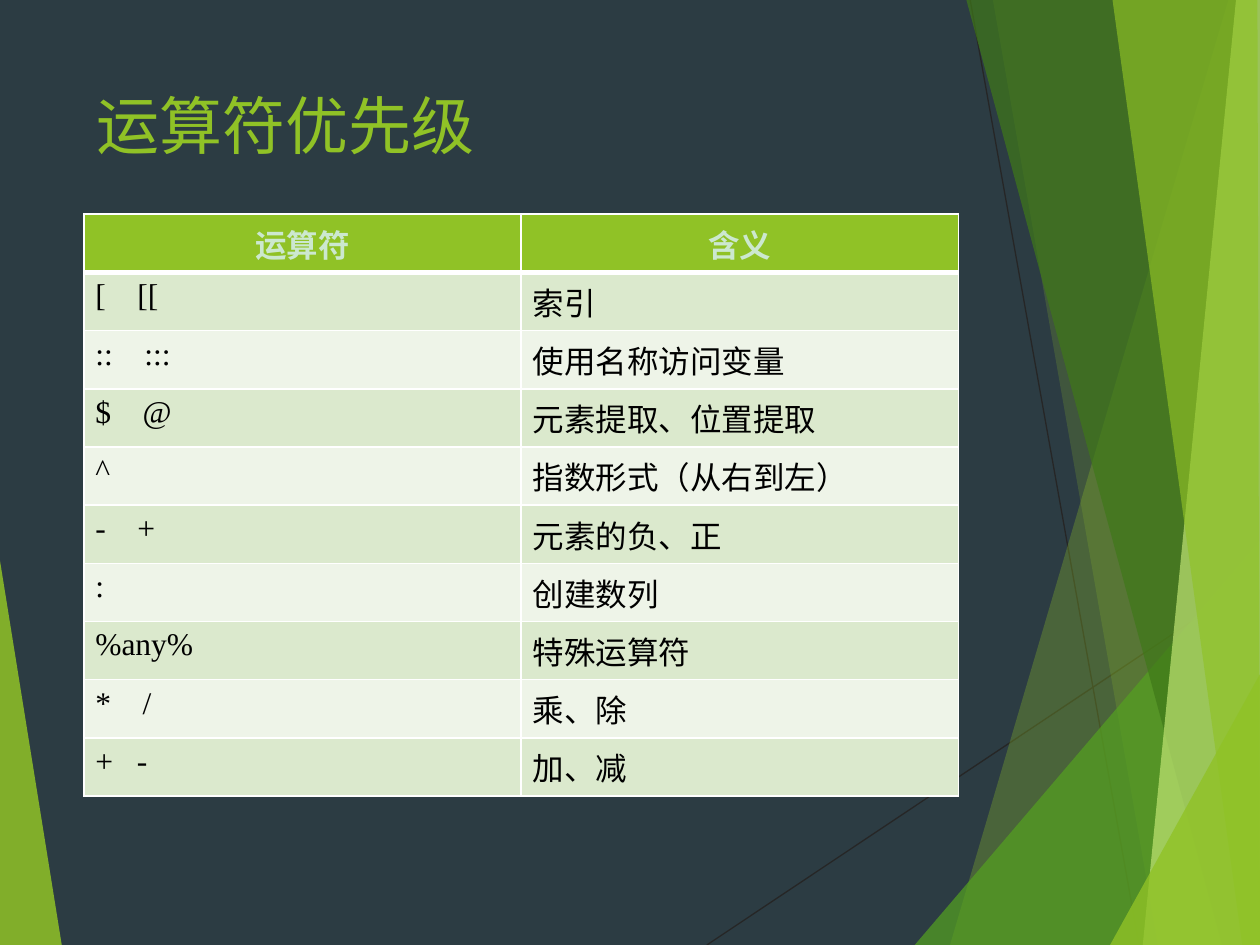
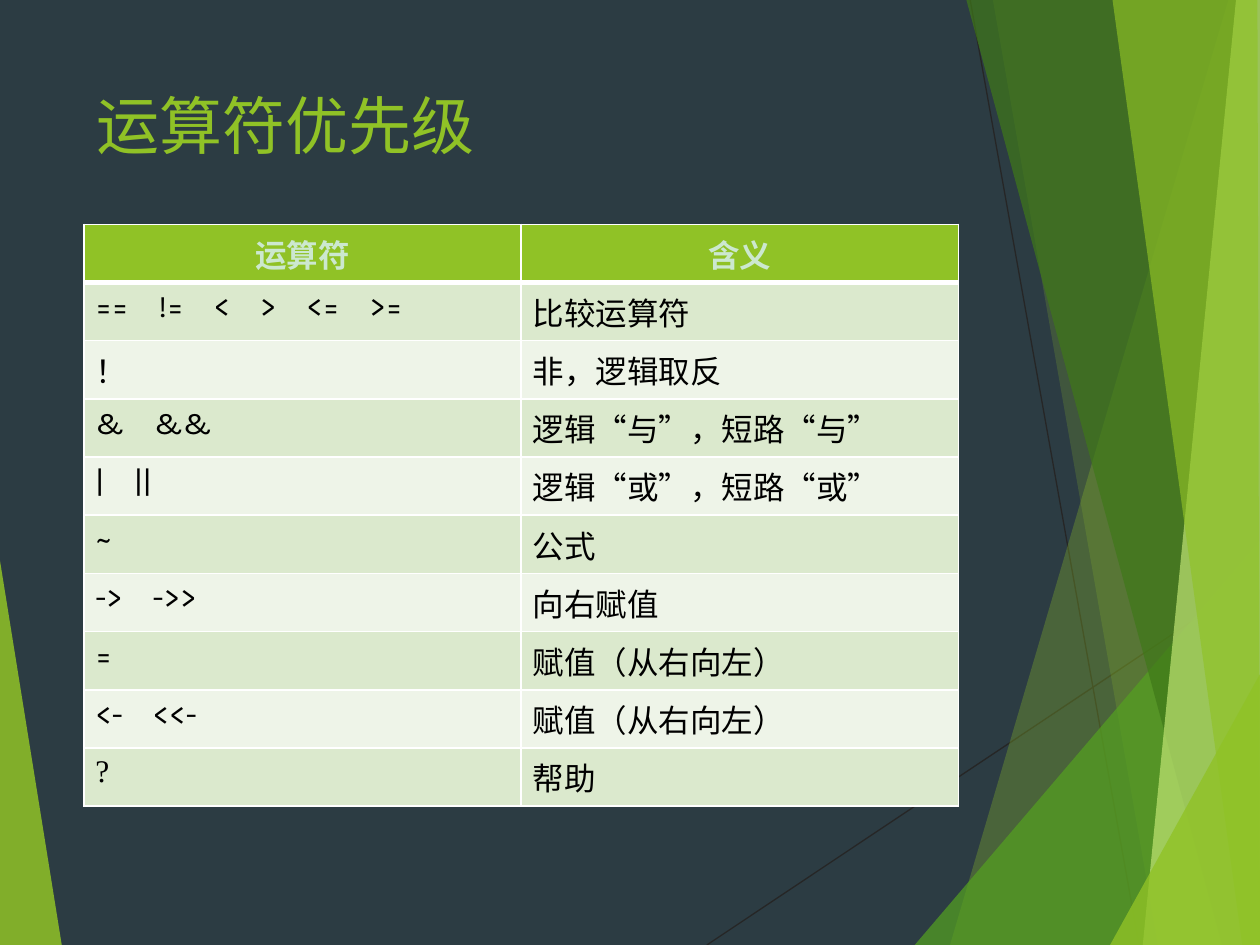
import lxml.etree
import pptx
import pptx.dml.color
import pptx.enum.shapes
import pptx.enum.text
import pptx.oxml.ns
import pptx.util

COLUMNS, ROWS = 100, 75
CELL = pptx.util.Inches(0.1)

BACKGROUND, LIME, PALE = "2C3C43", "90C226", "CCE8CF"
BLACK, WHITE = "000000", "FFFFFF"
BANDS = ("DBE9CD", "EEF4E8")
SANS, SERIF = "Karla", "Times New Roman"
LEFT, WIDTH = 6.67, 69.4
TABLE_ROW = 4.62
OPERATOR_GAPS = {SERIF: 13.5, SANS: 12.8}
NARROW_GAPS = {"+ -": 9}

RAYS = [((56.1, ROWS), (COLUMNS, 45.7)), ((77, 0), (90.4, ROWS))]
FACETS = [
    (LIME, 85, [(0, 44.5), (4.9, ROWS), (0, ROWS)]),
    (LIME, 30, [(97.5, 0), (75.4, ROWS), (COLUMNS, ROWS), (COLUMNS, 0)]),
    (LIME, 20, [(78.8, 0), (91.9, ROWS), (COLUMNS, ROWS), (COLUMNS, 0)]),
    ("54A021", 72, [(72.6, ROWS), (COLUMNS, 42.9), (COLUMNS, ROWS)]),
    ("3F7819", 70, [(76.7, 0), (97, ROWS), (COLUMNS, ROWS), (COLUMNS, 0)]),
    ("C0E474", 70, [(98.1, 0), (90.7, ROWS), (COLUMNS, ROWS), (COLUMNS, 0)]),
    (LIME, 65, [(88.3, 0), (98.6, ROWS), (COLUMNS, ROWS), (99.8, 0)]),
    (LIME, 80, [(88.1, ROWS), (COLUMNS, 53.5), (COLUMNS, ROWS)]),
]

TITLE = "运算符优先级"
HEADER = ("运算符", "含义")
ARITHMETIC = [
    ("[ [[", "索引"),
    (":: :::", "使用名称访问变量"),
    ("$ @", "元素提取、位置提取"),
    ("^", "指数形式（从右到左）"),
    ("- +", "元素的负、正"),
    (":", "创建数列"),
    ("%any%", "特殊运算符"),
    ("* /", "乘、除"),
    ("+ -", "加、减"),
]
LOGIC = [
    ("== != < > <= >=", "比较运算符"),
    ("！", "非，逻辑取反"),
    ("& &&", "逻辑“与”，短路“与”"),
    ("| ||", "逻辑“或”，短路“或”"),
    ("~", "公式"),
    ("-> ->>", "向右赋值"),
    ("=", "赋值（从右向左）"),
    ("<- <<-", "赋值（从右向左）"),
    ("?", "帮助"),
]


def grid(*counts):
    """Turn counts of grid cells into lengths."""
    return [round(count * CELL) for count in counts]


def color(value):
    """Turn a hex string into a colour."""
    return pptx.dml.color.RGBColor.from_string(value)


def paint(fill, value):
    """Give a fill one solid colour."""
    fill.solid()
    fill.fore_color.rgb = color(value)


def assign(target, formats):
    """Set each named attribute of a target."""
    for name, value in formats.items():
        setattr(target, name, value)


def add_child(parent, tag, **attributes):
    """Append a drawing element to a parent."""
    return lxml.etree.SubElement(parent, pptx.oxml.ns.qn(tag), attributes)


def add_span(para, text, tone, **formats):
    """Add one formatted run to a paragraph."""
    span = para.add_run()
    span.text = text
    assign(span.font, formats)
    span.font.color.rgb = color(tone)
    return span


def add_ray(page, start, end):
    """Draw a thin dark line between two grid points."""
    ray = page.shapes.add_connector(
        pptx.enum.shapes.MSO_CONNECTOR.STRAIGHT, *grid(*start, *end))
    ray.line.color.rgb = color("262626")
    ray.line.width = pptx.util.Pt(0.75)
    add_child(ray._element.spPr, "a:effectLst")


def add_facet(page, tone, opacity, points):
    """Draw a translucent polygon through grid points."""
    start, *others = [grid(*point) for point in points]
    builder = page.shapes.build_freeform(*start)
    builder.add_line_segments(others, close=True)
    facet = builder.convert_to_shape()
    facet.shadow.inherit = False
    facet.line.fill.background()
    paint(facet.fill, tone)
    tint = facet._element.spPr.find(".//" + pptx.oxml.ns.qn("a:srgbClr"))
    add_child(tint, "a:alpha", val=str(opacity * 1000))


def add_title(page, text):
    """Write the slide title."""
    box = page.shapes.add_textbox(*grid(LEFT, 6.7, WIDTH, 8.9))
    assign(box.text_frame, {
        "word_wrap": True,
        "vertical_anchor": pptx.enum.text.MSO_ANCHOR.TOP,
    })
    para = box.text_frame.paragraphs[0]
    para.line_spacing = 0.97
    add_span(para, text, LIME, name=SANS, size=pptx.util.Pt(36))


def add_borders(cell, bottom_width):
    """Outline a cell, with its own width for the bottom edge."""
    properties = cell._tc.get_or_add_tcPr()
    widths = {"a:lnL": 1, "a:lnR": 1, "a:lnT": 1, "a:lnB": bottom_width}
    for tag, width in widths.items():
        edge = add_child(properties, tag, w=str(pptx.util.Pt(width)))
        add_child(add_child(edge, "a:solidFill"), "a:srgbClr", val=WHITE)


def fill_cell(cell, text, font, is_header, background):
    """Write a table cell, spreading the operators that share it."""
    add_borders(cell, 3 if is_header else 1)
    paint(cell.fill, background)
    margin = pptx.util.Inches(0.09)
    assign(cell, {"margin_left": margin, "margin_right": margin})
    para = cell.text_frame.paragraphs[0]
    if is_header:
        para.alignment = pptx.enum.text.PP_ALIGN.CENTER
    tone = PALE if is_header else BLACK
    formats = {"name": font, "size": pptx.util.Pt(18), "bold": is_header}
    spacing = NARROW_GAPS.get(text, OPERATOR_GAPS[font])
    for index, word in enumerate(text.split()):
        if index:
            gap = add_span(para, " ", tone, **formats)
            gap.font._element.set("spc", str(round(spacing * 100)))
        add_span(para, word, tone, **formats)


def add_operator_table(page, top, entries, font):
    """Add a header row and the banded operator rows."""
    lines = [HEADER, *entries]
    frame = page.shapes.add_table(
        len(lines), len(HEADER),
        *grid(LEFT, top, WIDTH, TABLE_ROW * len(lines)))
    table = frame.table
    assign(table, {"first_row": False, "horz_banding": False})
    for row, line in enumerate(lines):
        background = BANDS[(row - 1) % 2] if row else LIME
        for column, text in enumerate(line):
            face = SERIF if text in (HEADER[0], "?") else font
            fill_cell(table.cell(row, column), text, face, row == 0, background)


def add_page(deck, top, entries, font):
    """Add a slide with the shared backdrop, title and a table."""
    page = deck.slides.add_slide(deck.slide_layouts[6])
    paint(page.background.fill, BACKGROUND)
    for ray in RAYS:
        add_ray(page, *ray)
    for facet in FACETS:
        add_facet(page, *facet)
    add_title(page, TITLE)
    add_operator_table(page, top, entries, font)


def main():
    """Build the two slides and save them."""
    deck = pptx.Presentation()
    width, height = grid(COLUMNS, ROWS)
    assign(deck, {"slide_width": width, "slide_height": height})
    add_page(deck, 17, ARITHMETIC, SERIF)
    add_page(deck, 17.8, LOGIC, SANS)
    deck.save("out.pptx")


if __name__ == "__main__":
    main()
